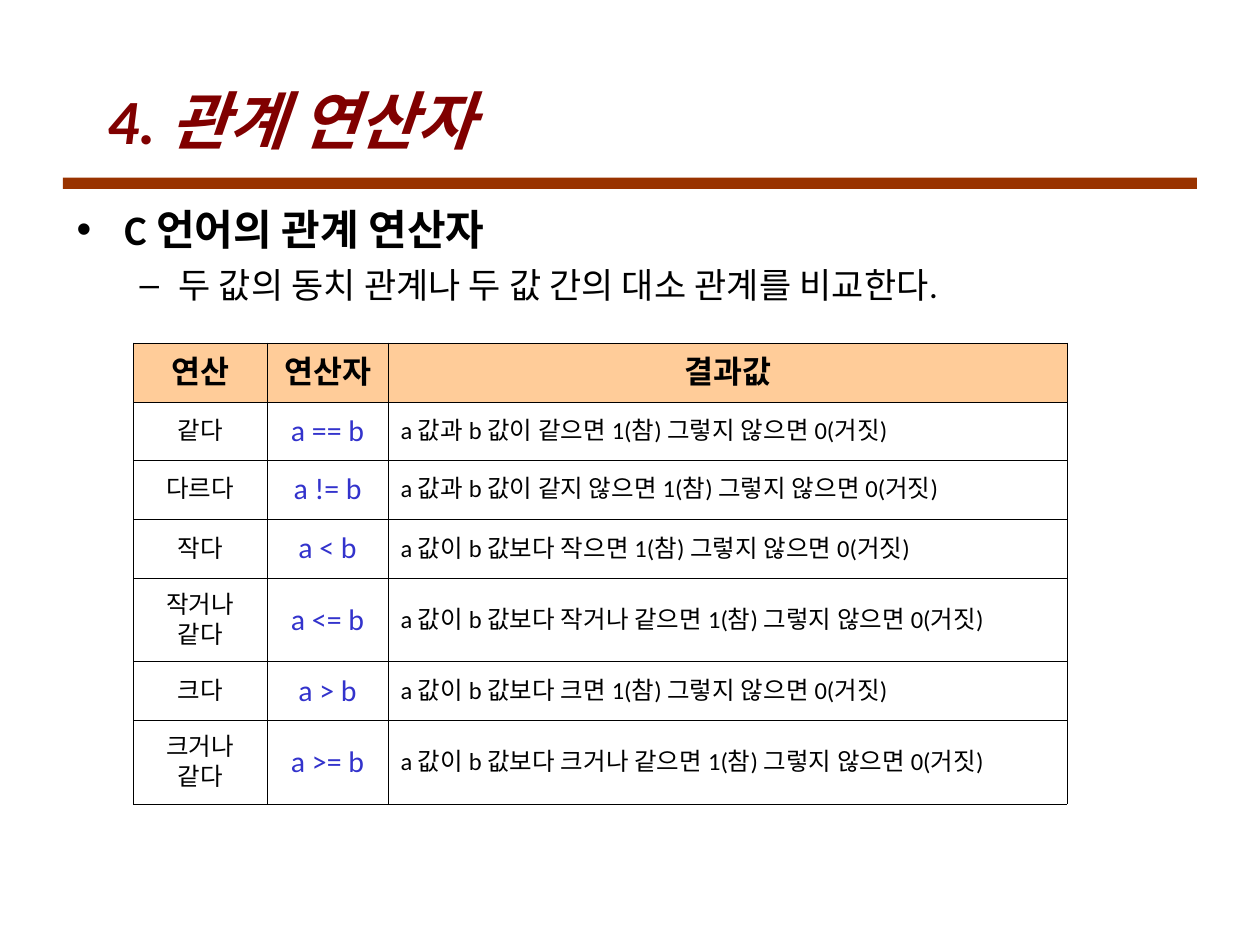
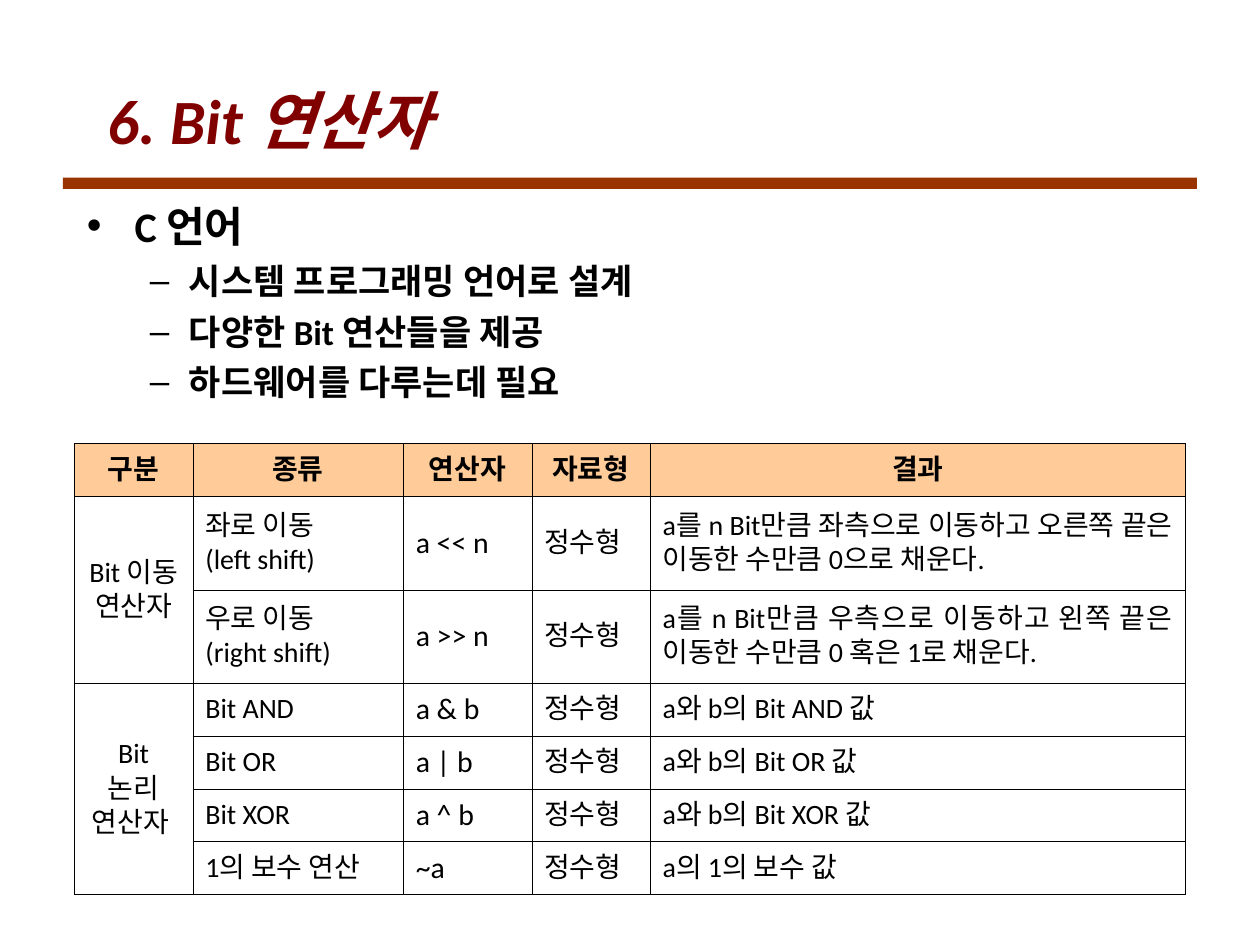
from dataclasses import dataclass

from lxml import etree
from pptx import Presentation
from pptx.dml.color import RGBColor
from pptx.enum.lang import MSO_LANGUAGE_ID
from pptx.enum.shapes import MSO_SHAPE
from pptx.enum.text import MSO_ANCHOR, PP_ALIGN
from pptx.oxml.ns import qn
from pptx.util import Inches, Pt

RECT = MSO_SHAPE.RECTANGLE
MIDDLE = MSO_ANCHOR.MIDDLE
LEFT, CENTER, JUST = PP_ALIGN.LEFT, PP_ALIGN.CENTER, PP_ALIGN.JUSTIFY
KOREAN = MSO_LANGUAGE_ID.KOREAN
FONT = "Calibri"
HUES = {"title": "800000", "band": "993300", "head": "FFCC99",
        "text": "000000", "code": "3333CC"}


@dataclass(frozen=True)
class Style:
    size: float
    hue: str = "text"
    bold: bool = False
    slant: bool = False


@dataclass(frozen=True)
class Level:
    mark: str
    left: float
    hang: float
    gap: float


@dataclass(frozen=True)
class Point:
    text: str
    level: int
    style: Style


@dataclass(frozen=True)
class Column:
    head: str
    width: float
    align: PP_ALIGN
    style: Style


@dataclass(frozen=True)
class Grid:
    left: float
    top: float
    head: Style
    columns: list[Column]
    heights: list[float]
    rows: list[tuple]


TITLE = Style(36, "title", True, True)
MAIN = Style(24, bold=True)
LEVELS = [Level("•", 0.38, 0.38, 6), Level("–", 0.81, 0.31, 5)]


def paint(hue: str) -> RGBColor:
    return RGBColor.from_string(HUES[hue])


def write(para, text: str, style: Style, align: PP_ALIGN = LEFT) -> None:
    para.alignment = align
    run = para.add_run()
    run.text = text
    font = run.font
    font.name, font.size = FONT, Pt(style.size)
    font.bold, font.italic = style.bold, style.slant
    font.color.rgb = paint(style.hue)
    font.language_id = KOREAN
    latin = run._r.rPr.find(qn("a:latin"))
    latin.addnext(etree.Element(qn("a:ea"), typeface=FONT))


def fresh(frame, index: int):
    return frame.add_paragraph() if index else frame.paragraphs[0]


def start(deck, text: str):
    slide = deck.slides.add_slide(deck.slide_layouts[5])
    title = slide.shapes.title
    title.left, title.top = Inches(0.75), Inches(0.49)
    title.width, title.height = Inches(8.5), Inches(0.92)
    title.text_frame.vertical_anchor = MIDDLE
    write(title.text_frame.paragraphs[0], text, TITLE)
    band = slide.shapes.add_shape(RECT, Inches(0.5), Inches(1.41), Inches(9), Inches(0.09))
    band.shadow.inherit = False
    band.fill.solid()
    band.fill.fore_color.rgb = paint("band")
    band.line.fill.background()
    return slide


def bullet(para, level: Level) -> None:
    props = para._p.get_or_add_pPr()
    props.set("marL", str(Inches(level.left)))
    props.set("indent", str(-Inches(level.hang)))
    tint = etree.SubElement(props, qn("a:buClr"))
    etree.SubElement(tint, qn("a:srgbClr"), val=HUES["text"])
    etree.SubElement(props, qn("a:buFont"), typeface="Arial")
    etree.SubElement(props, qn("a:buChar"), char=level.mark)


def outline(slide, left: float, top: float, width: float, points: list[Point]) -> None:
    box = slide.shapes.add_textbox(Inches(left), Inches(top), Inches(width), Inches(5.17))
    frame = box.text_frame
    frame.word_wrap = True
    for index, point in enumerate(points):
        para = fresh(frame, index)
        level = LEVELS[point.level]
        bullet(para, level)
        para.level = point.level
        if index:
            para.space_before = Pt(level.gap)
        write(para, point.text, point.style)


def border(cell) -> None:
    props = cell._tc.get_or_add_tcPr()
    for index, side in enumerate(("lnL", "lnR", "lnT", "lnB")):
        line = etree.Element(qn(f"a:{side}"), w=str(Pt(0.06)))
        fill = etree.SubElement(line, qn("a:solidFill"))
        etree.SubElement(fill, qn("a:srgbClr"), val=HUES["text"])
        props.insert(index, line)


def fill(cell, text: str, style: Style, align: PP_ALIGN) -> None:
    cell.vertical_anchor = MIDDLE
    for index, line in enumerate(text.split("\n")):
        write(fresh(cell.text_frame, index), line, style, align)


def draw(slide, grid: Grid) -> None:
    width = sum(col.width for col in grid.columns)
    frame = slide.shapes.add_table(
        len(grid.heights), len(grid.columns), Inches(grid.left), Inches(grid.top),
        Inches(width), Inches(sum(grid.heights)))
    table = frame.table
    table.first_row = table.horz_banding = False
    for row, height in zip(table.rows, grid.heights):
        row.height = Inches(height)
    for x, col in enumerate(grid.columns):
        table.columns[x].width = Inches(col.width)
        head = table.cell(0, x)
        head.fill.solid()
        head.fill.fore_color.rgb = paint("head")
        fill(head, col.head, grid.head, CENTER)
        border(head)
        first = 0
        for y, row in enumerate(grid.rows, 1):
            cell = table.cell(y, x)
            cell.fill.background()
            border(cell)
            if row[x] is None:
                if y == len(grid.rows) or grid.rows[y][x] is not None:
                    table.cell(first, x).merge(cell)
            else:
                first = y
                fill(cell, row[x], col.style, col.align)


def compare(deck) -> None:
    slide = start(deck, "4. 관계 연산자")
    outline(slide, 0.51, 1.57, 8.5, [
        Point("C 언어의 관계 연산자", 0, MAIN),
        Point("두 값의 동치 관계나 두 값 간의 대소 관계를 비교한다.", 1, Style(20)),
    ])
    cases = [
        ("같다", "==", "과", "이 같으면"),
        ("다르다", "!=", "과", "이 같지 않으면"),
        ("작다", "<", "이", "보다 작으면"),
        ("작거나\n같다", "<=", "이", "보다 작거나 같으면"),
        ("크다", ">", "이", "보다 크면"),
        ("크거나\n같다", ">=", "이", "보다 크거나 같으면"),
    ]
    rows = [(name, f"a {sign} b", f"a 값{tie} b 값{test} 1(참) 그렇지 않으면 0(거짓)")
            for name, sign, tie, test in cases]
    body = Style(14)
    draw(slide, Grid(1.06, 2.72, Style(18, bold=True), [
        Column("연산", 1.06, CENTER, body),
        Column("연산자", 0.96, CENTER, Style(17, "code")),
        Column("결과값", 5.39, JUST, body),
    ], [0.47, 0.46, 0.47, 0.47, 0.66, 0.47, 0.66], rows))


def bits(deck) -> None:
    slide = start(deck, "6. Bit 연산자")
    notes = ["시스템 프로그래밍 언어로 설계", "다양한 Bit 연산들을 제공", "하드웨어를 다루는데 필요"]
    sub = Style(20, bold=True)
    outline(slide, 0.59, 1.54, 8.98,
            [Point("C 언어", 0, MAIN)] + [Point(note, 1, sub) for note in notes])
    kind = "정수형"
    shifts = [
        ("Bit 이동 \n연산자", "좌로 이동\n(left shift)", "<<", "좌측", "오른쪽", "0으로"),
        (None, "우로 이동\n(right shift)", ">>", "우측", "왼쪽", "0 혹은 1로"),
    ]
    rows = [(group, name, f"a {sign} n", kind,
             f"a를 n Bit만큼 {way}으로 이동하고 {end} 끝은 이동한 수만큼 {pad} 채운다.")
            for group, name, sign, way, end, pad in shifts]
    logic = [("Bit\n 논리 \n연산자 ", "AND", "&"), (None, "OR", "|"), (None, "XOR", "^")]
    rows += [(group, f"Bit {name}", f"a {sign} b", kind, f"a와 b의 Bit {name} 값")
             for group, name, sign in logic]
    rows.append((None, "1의 보수 연산", "~a", kind, "a의 1의 보수 값"))
    body = Style(16)
    draw(slide, Grid(0.59, 3.52, Style(16, bold=True), [
        Column("구분", 0.94, CENTER, body),
        Column("종류", 1.67, JUST, body),
        Column("연산자", 1.02, JUST, Style(17)),
        Column("자료형", 0.94, JUST, body),
        Column("결과", 4.25, JUST, body),
    ], [0.42] + [0.74] * 2 + [0.42] * 4, rows))


def main() -> None:
    deck = Presentation()
    deck.slide_width, deck.slide_height = Inches(10), Inches(7.5)
    compare(deck)
    bits(deck)
    deck.save("out.pptx")


if __name__ == "__main__":
    main()
